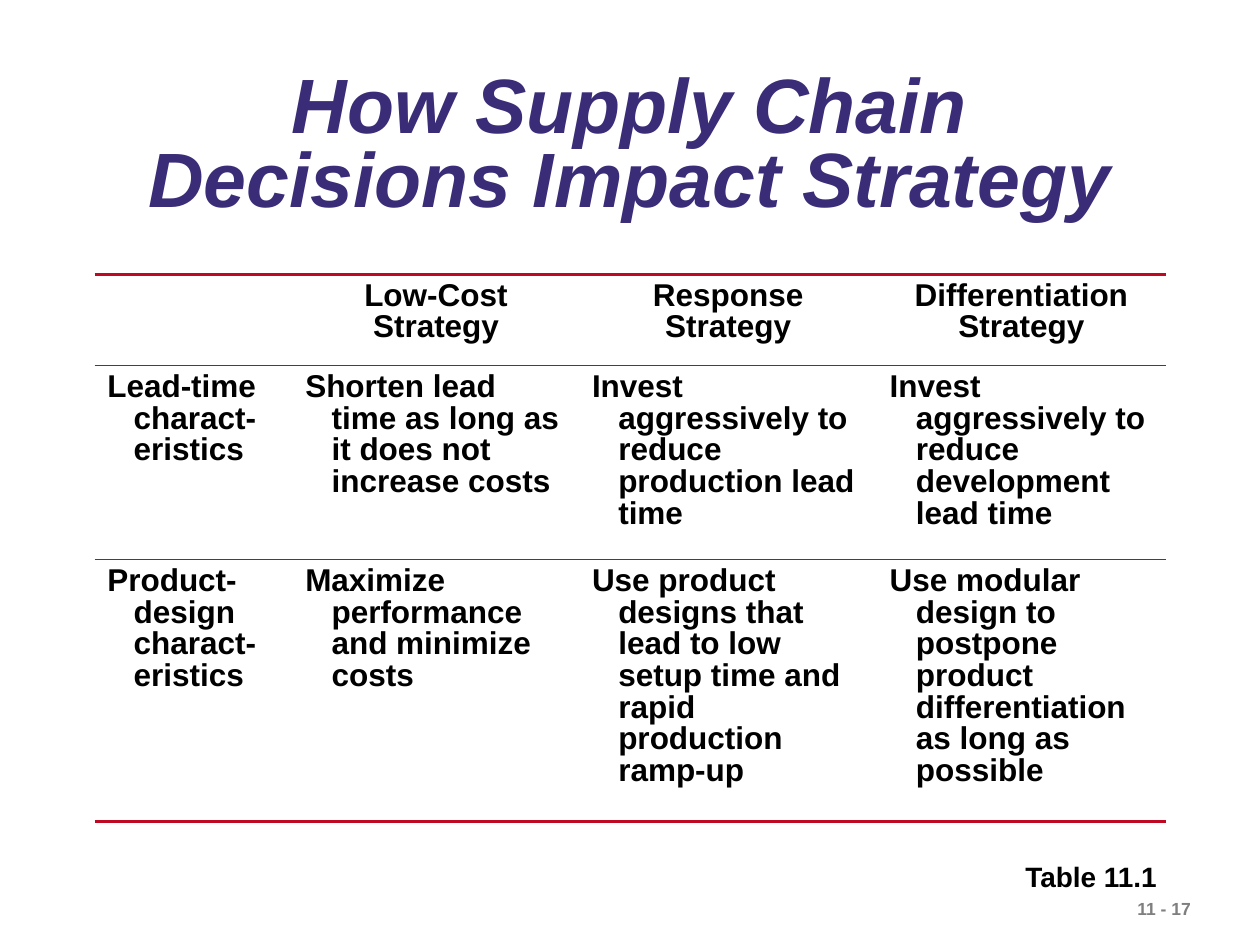
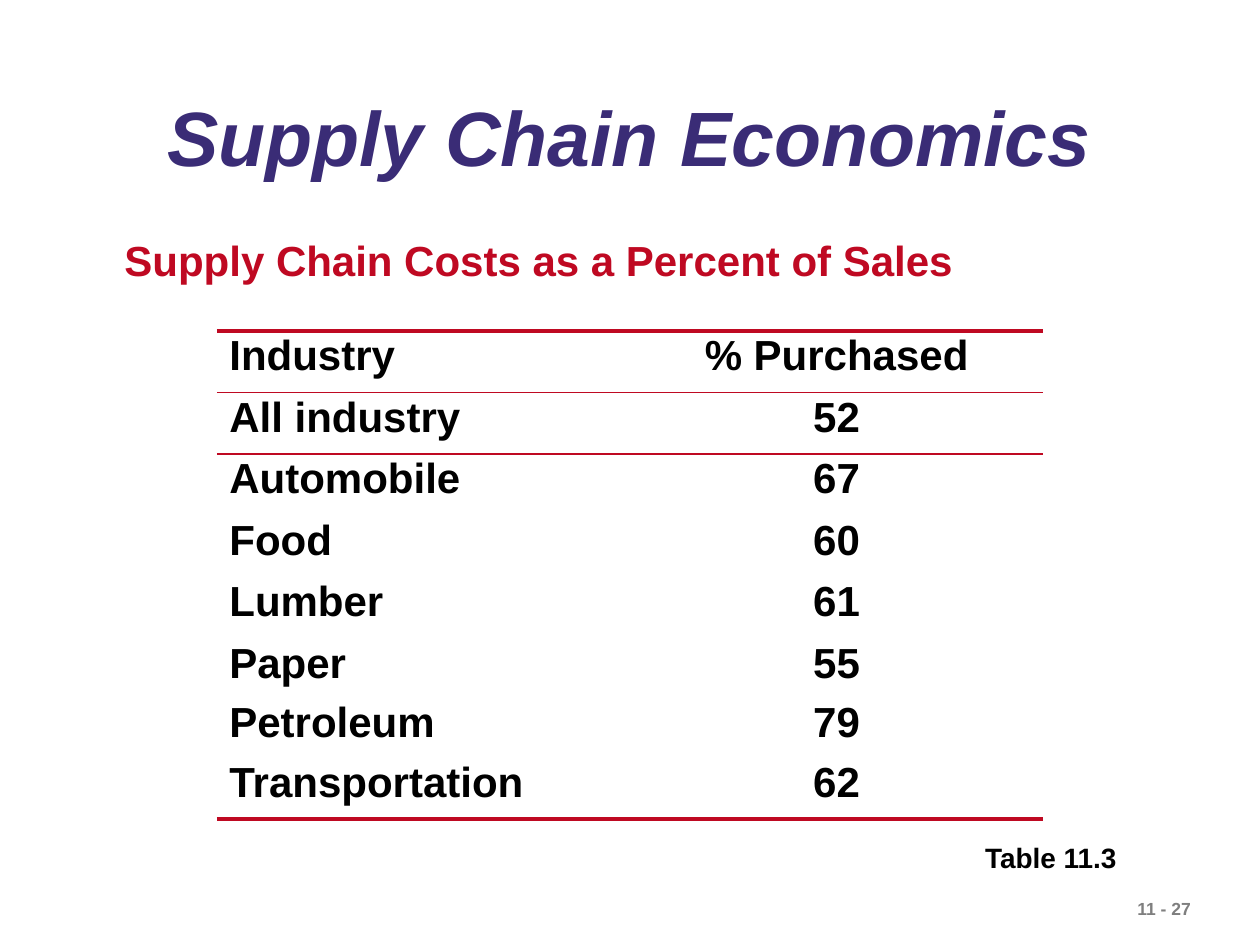
from lxml.etree import SubElement
from pptx import Presentation
from pptx.dml.color import RGBColor
from pptx.enum.text import MSO_ANCHOR, MSO_AUTO_SIZE, PP_ALIGN
from pptx.oxml.ns import qn
from pptx.util import Cm, Pt

FONT = "Arial"
PURPLE, RED, BLACK, GRAY = "3A2C76", "BF0922", "000000", "7F7F7F"
THICK, THIN = 2.21, 1.08
NO_GRID = "{2D5ABB26-0587-4C30-8999-92F81FD0307C}"

STRATEGY_ROWS = [
    ["", "Low-Cost Strategy", "Response Strategy", "Differentiation Strategy"],
    ["Lead-time charact-eristics",
     "Shorten lead time as long as it does not increase costs",
     "Invest aggressively to reduce production lead time",
     "Invest aggressively to reduce development lead time"],
    ["Product-design charact-eristics",
     "Maximize performance and minimize costs",
     "Use product designs that lead to low setup time and rapid production ramp-up",
     "Use modular design to postpone product differentiation as long as possible"],
]
COST_ROWS = [
    ["Industry", "% Purchased"],
    ["All industry", "52"],
    ["Automobile", "67"],
    ["Food", "60"],
    ["Lumber", "61"],
    ["Paper", "55"],
    ["Petroleum", "79"],
    ["Transportation", "62"],
]


def rgb(color):
    return RGBColor.from_string(color)


def write(tf, text, size, color, spacing=1.0, align=PP_ALIGN.LEFT, italic=False):
    tf.text = text
    p = tf.paragraphs[0]
    p.alignment = align
    p.line_spacing = spacing
    for r in p.runs:
        r.font.name = FONT
        r.font.size = Pt(size)
        r.font.bold = True
        r.font.italic = italic
        r.font.color.rgb = rgb(color)
    return p


def add_text(s, box, text, size, color, spacing=1.0):
    tf = s.shapes.add_textbox(*map(Cm, box)).text_frame
    tf.word_wrap = True
    write(tf, text, size, color, spacing)


def add_titled_slide(prs, title, box, spacing, number):
    s = prs.slides.add_slide(prs.slide_layouts[5])
    sp = s.shapes.title
    sp.left, sp.top, sp.width, sp.height = map(Cm, box)
    tf = sp.text_frame
    tf.word_wrap = True
    tf.auto_size = MSO_AUTO_SIZE.NONE
    tf.vertical_anchor = MSO_ANCHOR.MIDDLE
    write(tf, title, 44, PURPLE, spacing, PP_ALIGN.CENTER, italic=True)
    add_text(s, (22.68, 17.98, 2.5, 0.69), f"11 - {number}", 10, GRAY)
    return s


def add_rule(cell, side, width):
    ln = SubElement(cell._tc.get_or_add_tcPr(), qn(f"a:{side}"), w=str(Pt(width)))
    fill = SubElement(ln, qn("a:solidFill"))
    SubElement(fill, qn("a:srgbClr"), val=RED)


def add_ruled_table(s, left, top, widths, heights, rows, size, space_after,
                    centered, hanging=0):
    frame = s.shapes.add_table(len(rows), len(widths), Cm(left), Cm(top),
                               Cm(sum(widths)), Cm(sum(heights)))
    table = frame.table
    table.first_row = table.horz_banding = False
    table._tbl.tblPr.find(qn("a:tableStyleId")).text = NO_GRID
    for column, width in zip(table.columns, widths):
        column.width = Cm(width)
    for row, height in zip(table.rows, heights):
        row.height = Cm(height)
    last = len(rows) - 1
    tops = {0: THICK, 1: THIN}
    bottoms = {0: THIN, last: THICK}
    for i, row in enumerate(rows):
        for j, text in enumerate(row):
            cell = table.cell(i, j)
            align = PP_ALIGN.CENTER if centered(i, j) else PP_ALIGN.LEFT
            p = write(cell.text_frame, text, size, BLACK, 0.9, align)
            p.space_after = Pt(space_after)
            if hanging and i > 0:
                pPr = p._p.get_or_add_pPr()
                pPr.set("marL", str(Cm(hanging)))
                pPr.set("indent", str(-Cm(hanging)))
            if i in tops:
                add_rule(cell, "lnT", tops[i])
            if i in bottoms:
                add_rule(cell, "lnB", bottoms[i])
            cell.fill.background()


def build_strategy_slide(prs):
    s = add_titled_slide(prs, "How Supply Chain Decisions Impact Strategy",
                         (1.9, 1.12, 21.6, 3.73), 0.8, 17)
    add_ruled_table(s, 1.91, 5.53, [3.99, 5.78, 6, 5.82], [1.84, 3.91, 5.28],
                    STRATEGY_ROWS, 18, 9, lambda i, j: i == 0, hanging=0.53)
    add_text(s, (20.42, 17.2, 3.4, 0.94), "Table 11.1", 16, BLACK)


def build_costs_slide(prs):
    s = add_titled_slide(prs, "Supply Chain Economics",
                         (1.9, 1.63, 21.6, 2.46), 0.9, 27)
    add_text(s, (2.26, 4.72, 18.03, 1.17),
             "Supply Chain Costs as a Percent of Sales", 24, RED, 0.9)
    add_text(s, (19.61, 16.81, 3.4, 0.94), "Table 11.3", 16, BLACK)
    add_ruled_table(s, 4.37, 6.67, [8.33] * 2, [1.24] * 5 + [1.2] * 2 + [1.24],
                    COST_ROWS, 24, 12, lambda i, j: j == 1)


def main():
    prs = Presentation()
    prs.slide_width, prs.slide_height = Cm(25.4), Cm(19.05)
    build_strategy_slide(prs)
    build_costs_slide(prs)
    prs.save("out.pptx")


if __name__ == "__main__":
    main()
